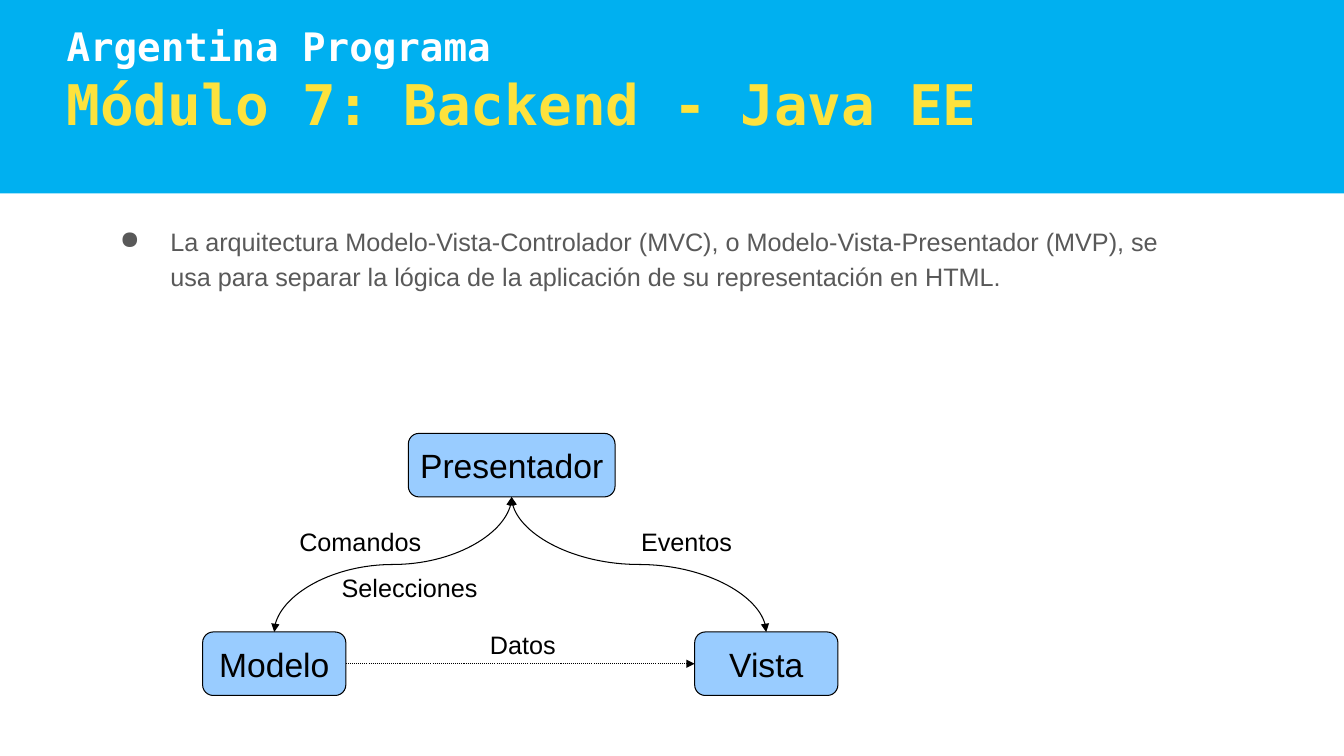
from lxml import etree
from pptx import Presentation
from pptx.dml.color import RGBColor
from pptx.enum import dml, shapes, text
from pptx.oxml import ns
from pptx.util import Inches, Pt

# Content
TITLE = [("Argentina Programa", 28, "FFFFFF"),
         ("Módulo 7: Backend - Java EE", 40, "FDE23D")]
BODY = ("La arquitectura Modelo-Vista-Controlador (MVC), o "
        "Modelo-Vista-Presentador (MVP), se usa para separar la lógica "
        "de la aplicación de su representación en HTML.")
BOX_HEIGHT = 0.63
BOXES = {"Modelo": (2.01, 6.27, 1.42),  # left, top, width
         "Vista": (6.89, 6.27, 1.42),
         "Presentador": (4.05, 4.3, 2.05)}
LABELS = [("Datos", 4.76, 6.19, 0.85), ("Comandos", 2.87, 5.17, 1.41),
          ("Eventos", 6.26, 5.17, 1.1), ("Selecciones", 3.29, 5.63, 1.55)]
TOP, LEFT, BOTTOM, RIGHT = range(4)  # connection sites of a box


def color(value):
    return RGBColor.from_string(value)


def style_font(paragraph, name, size, value, bold=False):
    for run in paragraph.runs:
        run.font.name, run.font.size, run.font.bold = name, Pt(size), bold
        run.font.color.rgb = color(value)


def add_text(left, top, width, height, words, margin=None):
    box = slide.shapes.add_textbox(*map(Inches, (left, top, width, height)))
    frame = box.text_frame
    frame.word_wrap = True
    if margin is not None:
        frame.margin_left = frame.margin_right = Inches(margin)
        frame.margin_top = frame.margin_bottom = Inches(margin)
    frame.text = words
    return frame


def add_block(kind, left, top, width, height, fill):
    shape = slide.shapes.add_shape(kind, *map(Inches, (left, top, width, height)))
    shape.shadow.inherit = False
    shape.fill.solid()
    shape.fill.fore_color.rgb = color(fill)
    return shape


def add_line(kind, x1, y1, x2, y2, ends):
    line = slide.shapes.add_connector(kind, *map(Inches, (x1, y1, x2, y2)))
    line.line.color.rgb = color("000000")
    line.line.width = Pt(0.75)
    for end in ends:
        etree.SubElement(line.line._get_or_add_ln(), ns.qn(f"a:{end}"), type="triangle")
    etree.SubElement(line._element.spPr, ns.qn("a:effectLst"))
    return line


def add_vertical_curve(x1, y1, x2, y2):
    """A curve that leaves upwards: a sideways curve given a quarter turn."""
    middle_x, middle_y = (x1 + x2) / 2, (y1 + y2) / 2
    half_width, half_height = abs(y2 - y1) / 2, abs(x2 - x1) / 2
    side = 1 if x1 < x2 else -1
    curve = add_line(shapes.MSO_CONNECTOR.CURVE,
                     middle_x - side * half_width, middle_y - half_height,
                     middle_x + side * half_width, middle_y + half_height,
                     ("headEnd", "tailEnd"))
    curve._element.spPr.xfrm.set("rot", str((270 if side > 0 else 90) * 60000))


presentation = Presentation()
presentation.slide_width, presentation.slide_height = Inches(13.33), Inches(7.5)
slide = presentation.slides.add_slide(presentation.slide_layouts[6])

# Banner and title
banner = add_block(shapes.MSO_SHAPE.RECTANGLE, 0, -0.02, 13.33, 1.94, "00B0F0")
banner.line.fill.background()
title = add_text(0.61, 0.17, 12.05, 1.31, "\n".join(row[0] for row in TITLE), 0.05)
for paragraph, (_, size, value) in zip(title.paragraphs, TITLE):
    style_font(paragraph, "DejaVu Sans Mono", size, value, True)

# Bullet
bullet = add_text(0.92, 2.1, 10.95, 5.19, BODY, 0.1).paragraphs[0]
bullet.line_spacing = 1.15
properties = bullet._p.get_or_add_pPr()
properties.set("marL", str(Inches(0.67)))
properties.set("indent", str(Inches(-0.5)))
bullet_color = etree.SubElement(properties, ns.qn("a:buClr"))
etree.SubElement(bullet_color, ns.qn("a:srgbClr"), val="595959")
etree.SubElement(properties, ns.qn("a:buChar"), char="●")
style_font(bullet, "Arial", 18, "595959")

# Boxes
boxes = {}
for name, (left, top, width) in BOXES.items():
    box = add_block(shapes.MSO_SHAPE.ROUNDED_RECTANGLE,
                    left, top, width, BOX_HEIGHT, "99CCFF")
    box.line.color.rgb = color("000000")
    box.line.width = Pt(0.75)
    frame = box.text_frame
    frame.text = name
    frame.word_wrap = False
    frame.vertical_anchor = text.MSO_ANCHOR.MIDDLE
    frame.paragraphs[0].alignment = text.PP_ALIGN.CENTER
    style_font(frame.paragraphs[0], "Arial", 24, "000000")
    boxes[name] = box

# Labels
for words, left, top, width in LABELS:
    frame = add_text(left, top, width, 0.4, words)
    frame.word_wrap = False
    frame.auto_size = text.MSO_AUTO_SIZE.SHAPE_TO_FIT_TEXT
    style_font(frame.paragraphs[0], "Arial", 18, "000000")

# Curves up to the presenter, dotted arrow from model to view
hub_left, hub_top, hub_width = BOXES["Presentador"]
for name in ("Modelo", "Vista"):
    left, top, width = BOXES[name]
    add_vertical_curve(left + width / 2, top,
                       hub_left + hub_width / 2, hub_top + BOX_HEIGHT)
data_arrow = add_line(shapes.MSO_CONNECTOR.STRAIGHT, 3.43, 6.59, 6.89, 6.59, ("tailEnd",))
data_arrow.line.dash_style = dml.MSO_LINE.ROUND_DOT
data_arrow.begin_connect(boxes["Modelo"], RIGHT)
data_arrow.end_connect(boxes["Vista"], LEFT)

presentation.save("out.pptx")
